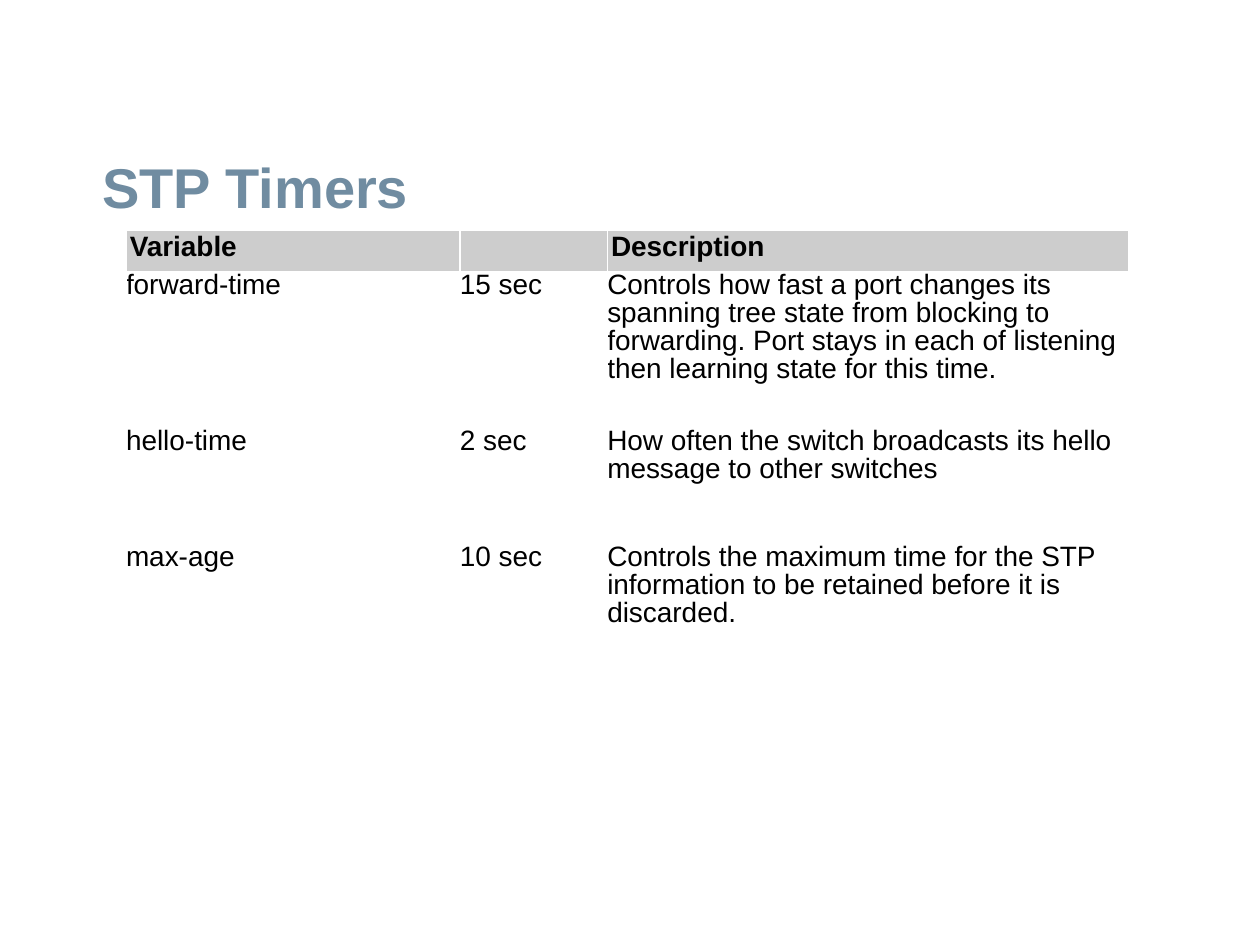
import dataclasses
import pptx
import pptx.dml.color
import pptx.enum.text
import pptx.util

Inches = pptx.util.Inches
FONT = "Arial"


@dataclasses.dataclass
class Row:
    texts: tuple[str, str, str]
    height: float
    fill: str = "FFFFFF"
    inset: float = 0
    bold: bool = False


ROWS = [
    Row(("Variable", "", "Description"), 0.33, "CDCDCD", 0.03, True),
    Row(("forward-time", "15 sec",
         "Controls how fast a port changes its spanning tree state from "
         "blocking to forwarding. Port stays in each of listening then "
         "learning state for this time."), 1.24),
    Row(("hello-time", "2 sec",
         "How often the switch broadcasts its hello message to other "
         "switches"), 0.92),
    Row(("max-age", "10 sec",
         "Controls the maximum time for the STP information to be retained "
         "before it is discarded."), 0.92),
]
WIDTHS = [2.65, 1.17, 4.14]


def color(code: str) -> pptx.dml.color.RGBColor:
    return pptx.dml.color.RGBColor.from_string(code)


def style(para, size: int, code: str, bold: bool) -> None:
    para.line_spacing = 0.9
    para.alignment = pptx.enum.text.PP_ALIGN.LEFT
    para.font.name = FONT
    para.font.size = pptx.util.Pt(size)
    para.font.bold = bold
    para.font.color.rgb = color(code)


def draw_title(slide, text: str) -> None:
    title = slide.shapes.title
    title.left, title.top = Inches(0.72), Inches(0.87)
    title.width, title.height = Inches(8.91), Inches(0.92)
    frame = title.text_frame
    frame.text = text
    frame.vertical_anchor = pptx.enum.text.MSO_ANCHOR.BOTTOM
    frame.margin_left = frame.margin_right = Inches(0.09)
    frame.margin_top = frame.margin_bottom = Inches(0.04)
    style(frame.paragraphs[0], 32, "708CA1", True)


def draw_cell(cell, text: str, row: Row) -> None:
    cell.fill.solid()
    cell.fill.fore_color.rgb = color(row.fill)
    cell.margin_left = cell.margin_right = Inches(row.inset)
    cell.margin_top = cell.margin_bottom = Inches(row.inset)
    cell.text = text
    style(cell.text_frame.paragraphs[0], 16, "000000", row.bold)


def draw_table(slide, rows: list[Row]) -> None:
    high = sum(row.height for row in rows)
    table = slide.shapes.add_table(
        len(rows), len(WIDTHS), Inches(1), Inches(1.83),
        Inches(sum(WIDTHS)), Inches(high)).table
    for col, width in zip(table.columns, WIDTHS):
        col.width = Inches(width)
    for line, row in zip(table.rows, rows):
        line.height = Inches(row.height)
        for cell, text in zip(line.cells, row.texts):
            draw_cell(cell, text, row)


def main() -> None:
    deck = pptx.Presentation()
    deck.slide_width, deck.slide_height = Inches(10), Inches(7.5)
    slide = deck.slides.add_slide(deck.slide_layouts[5])
    draw_title(slide, "STP Timers")
    draw_table(slide, ROWS)
    deck.save("out.pptx")


if __name__ == "__main__":
    main()
